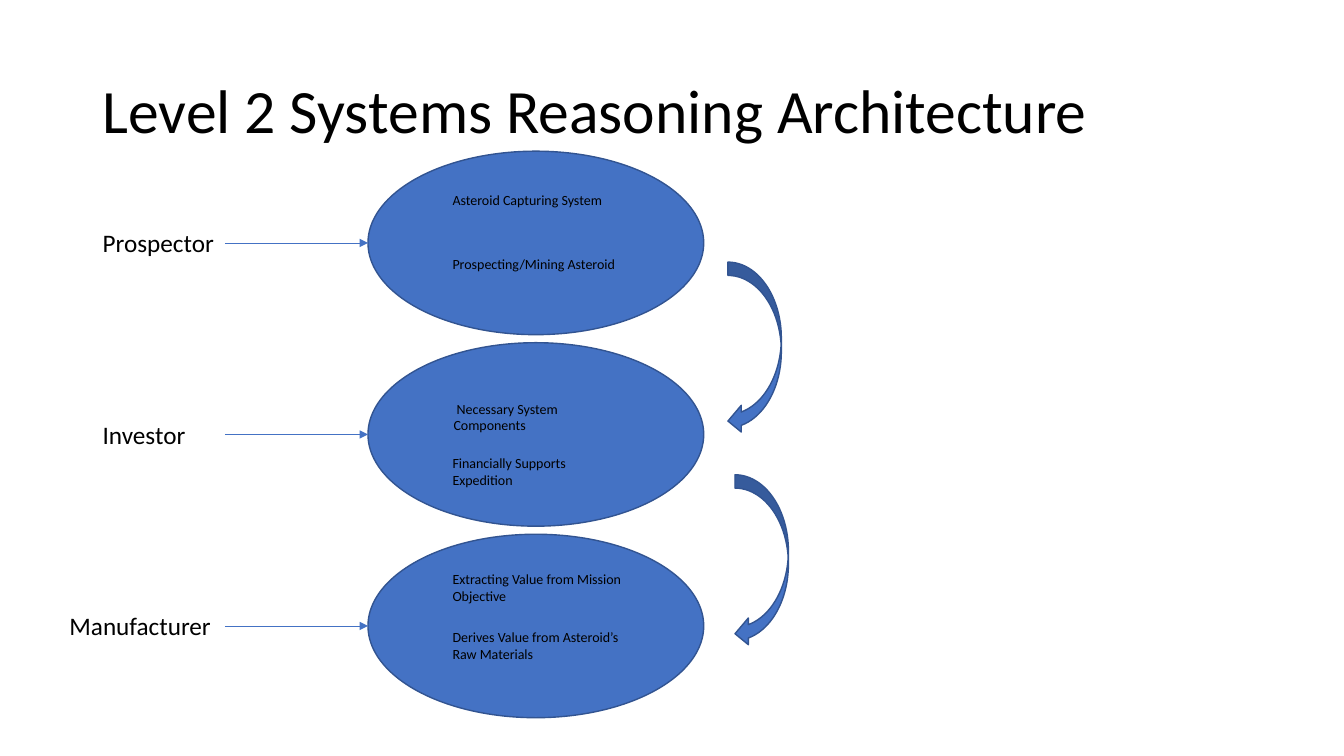
from pptx import Presentation
from pptx.dml.color import RGBColor
from pptx.enum.shapes import MSO_CONNECTOR, MSO_SHAPE
from pptx.enum.text import MSO_ANCHOR
from pptx.oxml.ns import qn
from pptx.util import Inches, Pt
from lxml.etree import SubElement

BLUE, EDGE, INK = "4472C4", "325491", "000000"
FONT = "Calibri"
WIDE, HIGH = 13.33, 7.5

# Grid of the three stages
TOP, STEP = 1.5, 1.9
OVAL_X, OVAL_W, OVAL_H = 3.65, 3.33, 1.82
NOTE_X, NOTE_W = 4.39, 1.87
LINE_X = 2.23

# Role, label left, notes as (text, left shift, drop below the stage's top, height)
STAGES = [
    ("Prospector", 0.92, [("Asteroid Capturing System", 0, 0.35, 0.27),
                          ("Prospecting/Mining Asteroid", 0, 0.99, 0.27)]),
    ("Investor", 0.92, [(" Necessary System Components", 0.01, 0.52, 0.44),
                        ("Financially Supports Expedition", 0, 1.06, 0.44)]),
    ("Manufacturer", 0.59, [("Extracting Value from Mission Objective", 0, 0.31, 0.44),
                            ("Derives Value from Asteroid\u2019s Raw Materials", 0, 0.89, 0.44)]),
]
BENDS = [(7.22, 2.6), (7.29, 4.71)]


def paint(form, tint):
    form.rgb = RGBColor.from_string(tint)


def write(slide, box, text, size, **frame):
    body = slide.shapes.add_textbox(*map(Inches, box)).text_frame
    for key, value in {"word_wrap": True, **frame}.items():
        setattr(body, key, value)
    par = body.paragraphs[0]
    run = par.add_run()
    run.text = text
    for key, value in {"name": FONT, "size": Pt(size)}.items():
        setattr(run.font, key, value)
    paint(run.font.color, INK)
    return par


def draw(slide, kind, box):
    shape = slide.shapes.add_shape(kind, *map(Inches, box))
    shape.shadow.inherit = False
    shape.fill.solid()
    paint(shape.fill.fore_color, BLUE)
    paint(shape.line.color, EDGE)
    shape.line.width = Pt(1)


def point(slide, left, right, y):
    link = slide.shapes.add_connector(
        MSO_CONNECTOR.STRAIGHT, *map(Inches, (left, y, right, y)))
    paint(link.line.color, BLUE)
    link.line.width = Pt(0.5)
    SubElement(link.line._get_or_add_ln(), qn("a:tailEnd"), type="triangle")
    SubElement(link._element.spPr, qn("a:effectLst"))


def title(slide, box):
    par = write(slide, box, "Level 2 Systems Reasoning Architecture", 44,
                vertical_anchor=MSO_ANCHOR.MIDDLE)
    par.line_spacing = 0.9


def stage(slide, box, role, side, notes):
    left, top, width, height = box
    mid = top + height / 2
    # Oval with its notes
    draw(slide, MSO_SHAPE.FLOWCHART_CONNECTOR, box)
    for text, shift, drop, tall in notes:
        write(slide, (NOTE_X + shift, top + drop, NOTE_W, tall), text, 10)
    # Role and its arrow
    point(slide, LINE_X, left, mid)
    write(slide, (side, mid - 0.2, 2.31, 0.4), role, 18)


def bend(slide, box):
    draw(slide, MSO_SHAPE.CURVED_LEFT_ARROW, box)


deck = Presentation()
deck.slide_width, deck.slide_height = Inches(WIDE), Inches(HIGH)
page = deck.slides.add_slide(deck.slide_layouts[6])

title(page, (0.92, 0.4, 11.5, 1.45))
for row, parts in enumerate(STAGES):
    stage(page, (OVAL_X, TOP + row * STEP, OVAL_W, OVAL_H), *parts)
for spot in BENDS:
    bend(page, (*spot, 0.53, 1.71))

deck.save("out.pptx")
